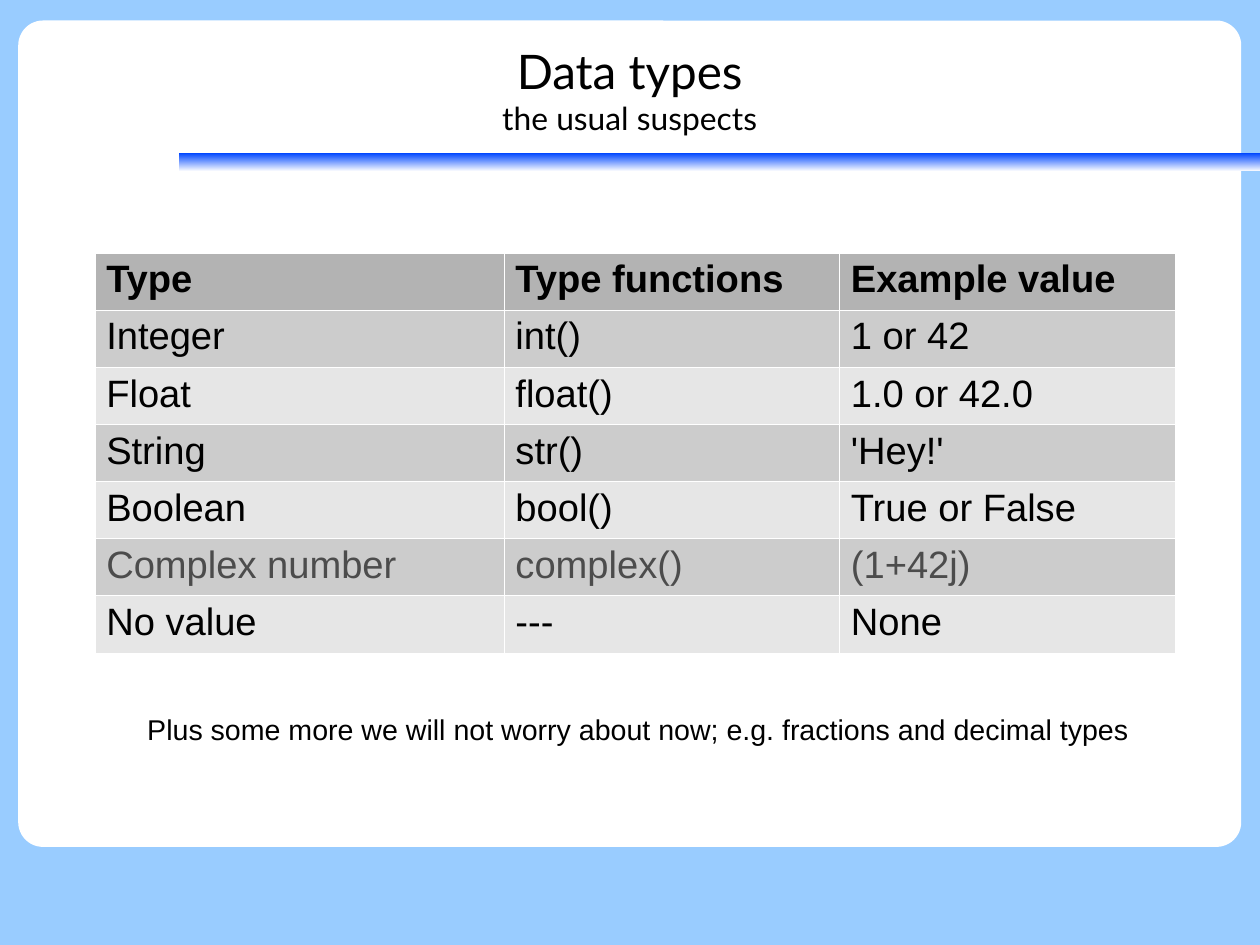
from dataclasses import dataclass

from lxml import etree
from pptx import Presentation
from pptx.dml.color import RGBColor
from pptx.enum.shapes import MSO_SHAPE
from pptx.enum.text import MSO_ANCHOR, MSO_AUTO_SIZE, PP_ALIGN
from pptx.oxml.ns import qn
from pptx.util import Cm, Inches, Pt

RECT = MSO_SHAPE.RECTANGLE
ROUND = MSO_SHAPE.ROUNDED_RECTANGLE
MIDDLE = MSO_ANCHOR.MIDDLE
FIXED = MSO_AUTO_SIZE.NONE
CENTER = PP_ALIGN.CENTER


@dataclass(frozen=True)
class Theme:
    sky: str = "99CCFF"
    white: str = "FFFFFF"
    blue: str = "0047FF"
    ink: str = "000000"
    dim: str = "4C4C4C"
    head: str = "B3B3B3"
    bands: tuple = ("CCCCCC", "E6E6E6")
    title: int = 30
    sub: int = 20
    cell: int = 24
    note: int = 18
    sans: str = "Arial"
    lato: str = "Lato"
    rule: float = 0.06


THEME = Theme()
ROWS = [
    ("Type", "Type functions", "Example value"),
    ("Integer", "int()", "1 or 42"),
    ("Float", "float()", "1.0 or 42.0"),
    ("String", "str()", "'Hey!'"),
    ("Boolean", "bool()", "True or False"),
    ("Complex number", "complex()", "(1+42j)"),
    ("No value", "---", "None"),
]
DIM_ROW = 5


def color(code):
    return RGBColor.from_string(code)


def apply(item, form):
    for name, value in form.items():
        setattr(item, name, value)


def place(item, box):
    names = ("left", "top", "width", "height")
    apply(item, dict(zip(names, map(Inches, box))))


def style(font, size, name, tone=THEME.ink, bold=False):
    apply(font, {"size": Pt(size), "name": name, "bold": bold})
    font.color.rgb = color(tone)


def add_block(slide, kind, box):
    block = slide.shapes.add_shape(kind, *map(Inches, box))
    block.shadow.inherit = False
    block.line.fill.background()
    return block


def add_panel(slide, box):
    panel = add_block(slide, ROUND, box)
    panel.adjustments[0] = 0.03
    panel.fill.solid()
    panel.fill.fore_color.rgb = color(THEME.white)


def add_bar(slide, box):
    fill = add_block(slide, RECT, box).fill
    fill.gradient()
    fill.gradient_angle = 90
    for stop, tone in zip(fill.gradient_stops, (THEME.white, THEME.blue)):
        stop.color.rgb = color(tone)


def add_title(slide, box):
    title = slide.shapes.title
    title.element.getparent().append(title.element)
    place(title, box)
    frame = title.text_frame
    apply(frame, {
        "margin_left": 0, "margin_right": 0, "margin_top": 0,
        "margin_bottom": 0, "vertical_anchor": MIDDLE,
        "word_wrap": True, "auto_size": FIXED,
    })
    para = frame.paragraphs[0]
    para.alignment = CENTER
    head = para.add_run()
    head.text = "Data types"
    style(head.font, THEME.title, THEME.lato)
    para.add_line_break()
    sub = para.add_run()
    sub.text = "the usual suspects"
    style(sub.font, THEME.sub, THEME.lato)


def add_rules(cell):
    props = cell._tc.get_or_add_tcPr()
    for side in ("lnL", "lnR", "lnT", "lnB"):
        line = etree.SubElement(props, qn("a:" + side), w=str(Pt(THEME.rule)))
        fill = etree.SubElement(line, qn("a:solidFill"))
        etree.SubElement(fill, qn("a:srgbClr"), val=THEME.white)


def add_cell(cell, text, row):
    add_rules(cell)
    cell.fill.solid()
    tone = THEME.bands[(row - 1) % 2] if row else THEME.head
    cell.fill.fore_color.rgb = color(tone)
    cell.text = text
    ink = THEME.dim if row == DIM_ROW else THEME.ink
    font = cell.text_frame.paragraphs[0].runs[0].font
    style(font, THEME.cell, THEME.sans, ink, row == 0)


def add_types(slide, box):
    frame = slide.shapes.add_table(len(ROWS), 3, *map(Inches, box))
    table = frame.table
    table.horz_banding = False
    first = 3.58
    rest = (box[2] - first) / 2
    for col, width in zip(table.columns, (first, rest, rest)):
        col.width = Inches(width)
    for row, texts in enumerate(ROWS):
        table.rows[row].height = Inches(box[3] / len(ROWS))
        for col, text in enumerate(texts):
            add_cell(table.cell(row, col), text, row)


def add_note(slide, box):
    frame = slide.shapes.add_textbox(*map(Inches, box)).text_frame
    frame.word_wrap = True
    run = frame.paragraphs[0].add_run()
    run.text = ("Plus some more we will not worry about now; "
                "e.g. fractions and decimal types")
    style(run.font, THEME.note, THEME.sans)


def main():
    deck = Presentation()
    apply(deck, {"slide_width": Cm(28), "slide_height": Cm(21)})
    slide = deck.slides.add_slide(deck.slide_layouts[5])
    back = slide.background.fill
    back.solid()
    back.fore_color.rgb = color(THEME.sky)
    add_panel(slide, (0.16, 0.18, 10.7, 7.23))
    add_bar(slide, (1.57, 1.34, 9.45, 0.16))
    add_title(slide, (0.55, 0.09, 9.92, 1.38))
    add_types(slide, (0.83, 2.21, 9.45, 3.5))
    add_note(slide, (1.19, 6.18, 9.74, 0.38))
    deck.save("out.pptx")


if __name__ == "__main__":
    main()
